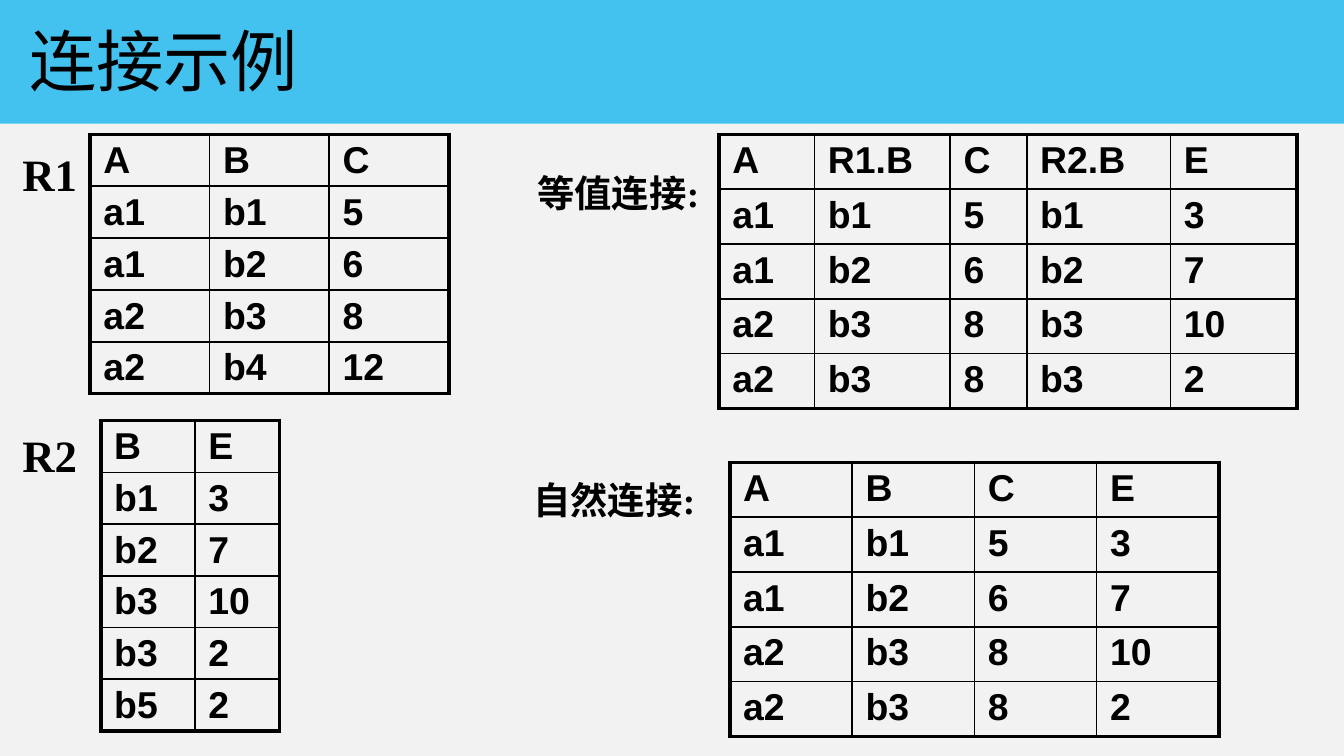
from dataclasses import dataclass

from lxml import etree
from pptx import Presentation
from pptx.dml.color import RGBColor
from pptx.enum import shapes, text
from pptx.oxml import ns
from pptx.util import Inches, Pt


@dataclass(frozen=True)
class Theme:
    background: RGBColor = RGBColor(0xF2, 0xF2, 0xF2)
    band: RGBColor = RGBColor(0x00, 0xB0, 0xF0)
    band_alpha: int = 72
    ink: RGBColor = RGBColor(0, 0, 0)
    title_font: str = "Noto Sans CJK SC"
    label_font: str = "Times New Roman"
    cell_font: str = "Arial"
    title_size: int = 36
    relation_size: int = 24
    body_size: int = 20
    outer_line: float = 2.25
    inner_line: float = 1


THEME = Theme()

# Each relation: box (left, top, width, height), column widths, rows
RELATIONS = [
    ((0.67, 1, 2.68, 1.93), [0.89, 0.89, 0.89],
     ["A B C", "a1 b1 5", "a1 b2 6", "a2 b3 8", "a2 b4 12"]),
    ((0.75, 3.13, 1.33, 2.31), [0.7, 0.63],
     ["B E", "b1 3", "b2 7", "b3 10", "b3 2", "b5 2"]),
    ((5.35, 1, 4.3, 2.04), [0.71, 1.01, 0.57, 1.07, 0.94],
     ["A R1.B C R2.B E", "a1 b1 5 b1 3", "a1 b2 6 b2 7",
      "a2 b3 8 b3 10", "a2 b3 8 b3 2"]),
    ((5.43, 3.44, 3.65, 2.04), [0.91, 0.91, 0.91, 0.91],
     ["A B C E", "a1 b1 5 3", "a1 b2 6 7", "a2 b3 8 10", "a2 b3 8 2"]),
]

LABELS = [
    ("R1", (0.04, 1.04, 0.66, 0.5), THEME.relation_size),
    ("R2", (-0.08, 3.13, 0.9, 0.5), THEME.relation_size),
    ("等值连接:", (3.85, 1.22, 1.5, 0.44), THEME.body_size),
    ("自然连接:", (3.86, 3.5, 1.42, 0.44), THEME.body_size),
]


def style_runs(paragraph, font, size, bold):
    for run in paragraph.runs:
        run.font.name = font
        run.font.size = Pt(size)
        run.font.bold = bold
        run.font.color.rgb = THEME.ink


def add_band(slide, box):
    band = slide.shapes.add_shape(
        shapes.MSO_SHAPE.RECTANGLE, *map(Inches, box))
    band.shadow.inherit = False
    band.line.fill.background()
    band.fill.solid()
    band.fill.fore_color.rgb = THEME.band
    color = band.fill._xPr.find(".//" + ns.qn("a:srgbClr"))
    etree.SubElement(color, ns.qn("a:alpha"), val=str(THEME.band_alpha * 1000))


def add_title(slide, box, wording):
    frame = slide.shapes.add_textbox(*map(Inches, box)).text_frame
    frame.word_wrap = True
    frame.vertical_anchor = text.MSO_ANCHOR.MIDDLE
    frame.text = wording
    style_runs(frame.paragraphs[0], THEME.title_font, THEME.title_size, False)
    for run in frame.paragraphs[0].runs:
        etree.SubElement(run.font._element, ns.qn("a:ea"),
                         typeface=THEME.title_font)


def add_label(slide, box, wording, size):
    frame = slide.shapes.add_textbox(*map(Inches, box)).text_frame
    frame.word_wrap = True
    frame.auto_size = text.MSO_AUTO_SIZE.SHAPE_TO_FIT_TEXT
    frame.text = wording
    paragraph = frame.paragraphs[0]
    paragraph.alignment = text.PP_ALIGN.CENTER
    style_runs(paragraph, THEME.label_font, size, True)


def set_borders(cell, outer_sides):
    """Draw all four sides, heavier where the cell meets the table's edge."""
    properties = cell._tc.get_or_add_tcPr()
    for position, side in enumerate("LRTB"):
        width = THEME.outer_line if side in outer_sides else THEME.inner_line
        line = etree.Element(ns.qn("a:ln" + side), w=str(Pt(width)))
        fill = etree.SubElement(line, ns.qn("a:solidFill"))
        etree.SubElement(fill, ns.qn("a:srgbClr"), val=str(THEME.ink))
        properties.insert(position, line)


def add_relation(slide, box, column_widths, rows):
    values = [row.split() for row in rows]
    last_row, last_column = len(rows) - 1, len(column_widths) - 1
    table = slide.shapes.add_table(
        len(rows), len(column_widths), *map(Inches, box)).table
    table.first_row = table.horz_banding = False
    for column, width in zip(table.columns, column_widths):
        column.width = Inches(width)
    for row in table.rows:
        row.height = Inches(box[3] / len(rows))
    for r, row in enumerate(values):
        for c, value in enumerate(row):
            cell = table.cell(r, c)
            cell.text_frame.text = value
            cell.margin_left = cell.margin_right = Inches(0.1)
            cell.margin_top, cell.margin_bottom = Inches(0.04), Inches(0.02)
            cell.fill.background()
            style_runs(cell.text_frame.paragraphs[0],
                       THEME.cell_font, THEME.body_size, True)
            edges = {"L": c == 0, "R": c == last_column,
                     "T": r == 0, "B": r == last_row}
            set_borders(cell, [side for side, outer in edges.items() if outer])


def add_join_slide(deck):
    slide = deck.slides.add_slide(deck.slide_layouts[6])
    slide.background.fill.solid()
    slide.background.fill.fore_color.rgb = THEME.background
    add_band(slide, (-0.01, 0, 10.01, 0.92))
    for relation in RELATIONS:
        add_relation(slide, *relation)
    for wording, box, size in LABELS:
        add_label(slide, box, wording, size)
    add_title(slide, (0.12, 0.06, 3.23, 0.77), "连接示例")


def main():
    deck = Presentation()
    deck.slide_width = Inches(10)
    deck.slide_height = deck.slide_width * 9 // 16
    add_join_slide(deck)
    deck.save("out.pptx")


if __name__ == "__main__":
    main()
